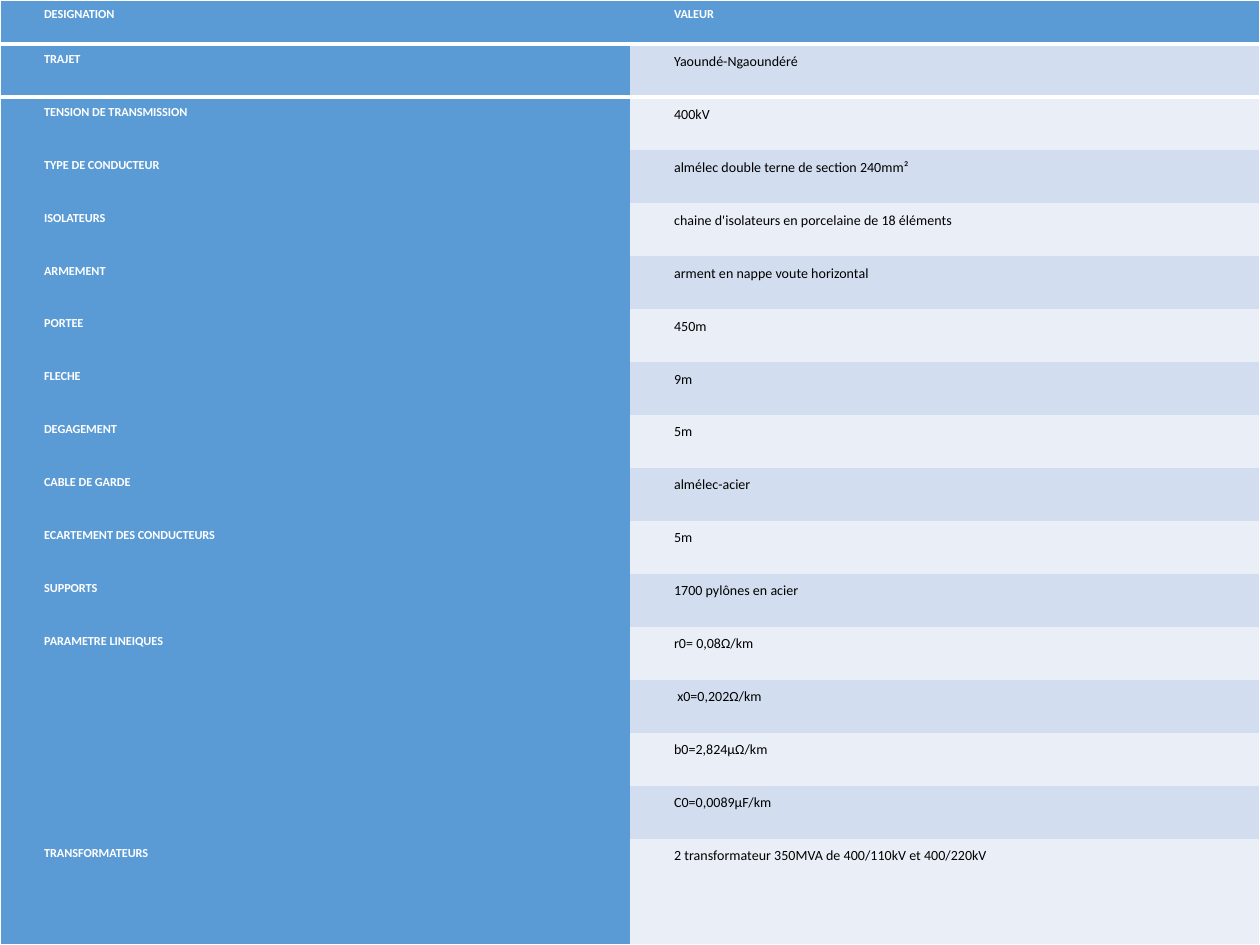
from pptx import Presentation, util as u
from pptx.dml.color import RGBColor
from pptx.enum import text
from pptx.oxml import parse_xml
from pptx.oxml.ns import nsdecls

COLORS = {
    "background": "D7BCED",
    "label": "5B9BD5",
    "band_dark": "D2DEEF",
    "band_light": "EAEFF7",
    "white": "FFFFFF",
    "black": "000000",
}
WIDTH, HEIGHT = 10, 7.5
HEADER_HEIGHT = 0.35
PLAIN_STYLE = "{2D5ABB26-0587-4C30-8999-92F81FD0307C}"
ROWS = [
    ("DESIGNATION ", "VALEUR "),
    ("TRAJET", "Yaoundé-Ngaoundéré "),
    ("TENSION DE TRANSMISSION", "400kV"),
    ("TYPE DE CONDUCTEUR", "almélec double terne de section 240mm²"),
    ("ISOLATEURS", "chaine d'isolateurs en porcelaine de 18 éléments"),
    ("ARMEMENT", "arment en nappe voute horizontal"),
    ("PORTEE", "450m"),
    ("FLECHE", "9m"),
    ("DEGAGEMENT", "5m"),
    ("CABLE DE GARDE", "almélec-acier"),
    ("ECARTEMENT DES CONDUCTEURS", "5m"),
    ("SUPPORTS", "1700 pylônes en acier"),
    ("PARAMETRE LINEIQUES", "r0= 0,08Ω/km"),
    (None, " x0=0,202Ω/km "),
    (None, "b0=2,824µΩ/km "),
    (None, "C0=0,0089µF/km"),
    ("TRANSFORMATEURS", "2 transformateur 350MVA de 400/110kV et 400/220kV"),
]


def rgb(name):
    return RGBColor.from_string(COLORS[name])


def set_borders(cell, widths):
    tc_pr = cell._tc.get_or_add_tcPr()
    sides = [side for side in "LRTB" if side in widths]
    for i, side in enumerate(sides):
        tc_pr.insert(i, parse_xml(
            f'<a:ln{side} {nsdecls("a")} w="{u.Pt(widths[side])}"><a:solidFill>'
            f'<a:srgbClr val="{COLORS["white"]}"/></a:solidFill></a:ln{side}>'))


def write_cell(cell, content, is_label):
    tf = cell.text_frame
    p = tf.paragraphs[0]
    p.alignment = text.PP_ALIGN.JUSTIFY
    p.line_spacing = 1.5
    p.space_before = p.space_after = u.Pt(6)
    p_pr = p._p.get_or_add_pPr()
    p_pr.set("marL", "0")
    p_pr.set("indent", str(u.Inches(0.3)))
    r = p.add_run()
    r.text = content
    r.font.name = "Calibri"
    r.font.size = u.Pt(7 if is_label else 8)
    r.font.bold = is_label
    r.font.color.rgb = rgb("white" if is_label else "black")


def format_cell(cell, row, col):
    is_label = row == 0 or col == 0
    band = "band_dark" if row % 2 else "band_light"
    cell.margin_left = cell.margin_right = u.Inches(0.05)
    cell.margin_top = cell.margin_bottom = 0
    cell.fill.solid()
    cell.fill.fore_color.rgb = rgb("label" if is_label else band)
    widths = {"R" if col else "L": 1}
    if row == 0:
        widths.update(T=1, B=3)
    elif row == 1:
        widths["T"] = 3
    elif row == len(ROWS) - 1:
        widths["B"] = 1
    set_borders(cell, widths)
    if ROWS[row][col] is not None:
        write_cell(cell, ROWS[row][col], is_label)


def add_line_table(s):
    frame = s.shapes.add_table(len(ROWS), 2, 0, 0, u.Inches(WIDTH), u.Inches(HEIGHT))
    table = frame.table
    table.first_row = table.horz_banding = False
    table._tbl.tblPr.find("{*}tableStyleId").text = PLAIN_STYLE
    unit = (HEIGHT - HEADER_HEIGHT) / len(ROWS)
    heights = [HEADER_HEIGHT] + [unit] * (len(ROWS) - 2) + [2 * unit]
    for row, height in enumerate(heights):
        table.rows[row].height = u.Inches(height)
        for col in range(2):
            format_cell(table.cell(row, col), row, col)
    spanned = [row for row, (label, _) in enumerate(ROWS) if label is None]
    table.cell(spanned[0] - 1, 0).merge(table.cell(spanned[-1], 0))


def main():
    prs = Presentation()
    prs.slide_width, prs.slide_height = u.Inches(WIDTH), u.Inches(HEIGHT)
    s = prs.slides.add_slide(prs.slide_layouts[6])
    s.background.fill.solid()
    s.background.fill.fore_color.rgb = rgb("background")
    add_line_table(s)
    prs.save("out.pptx")


if __name__ == "__main__":
    main()
